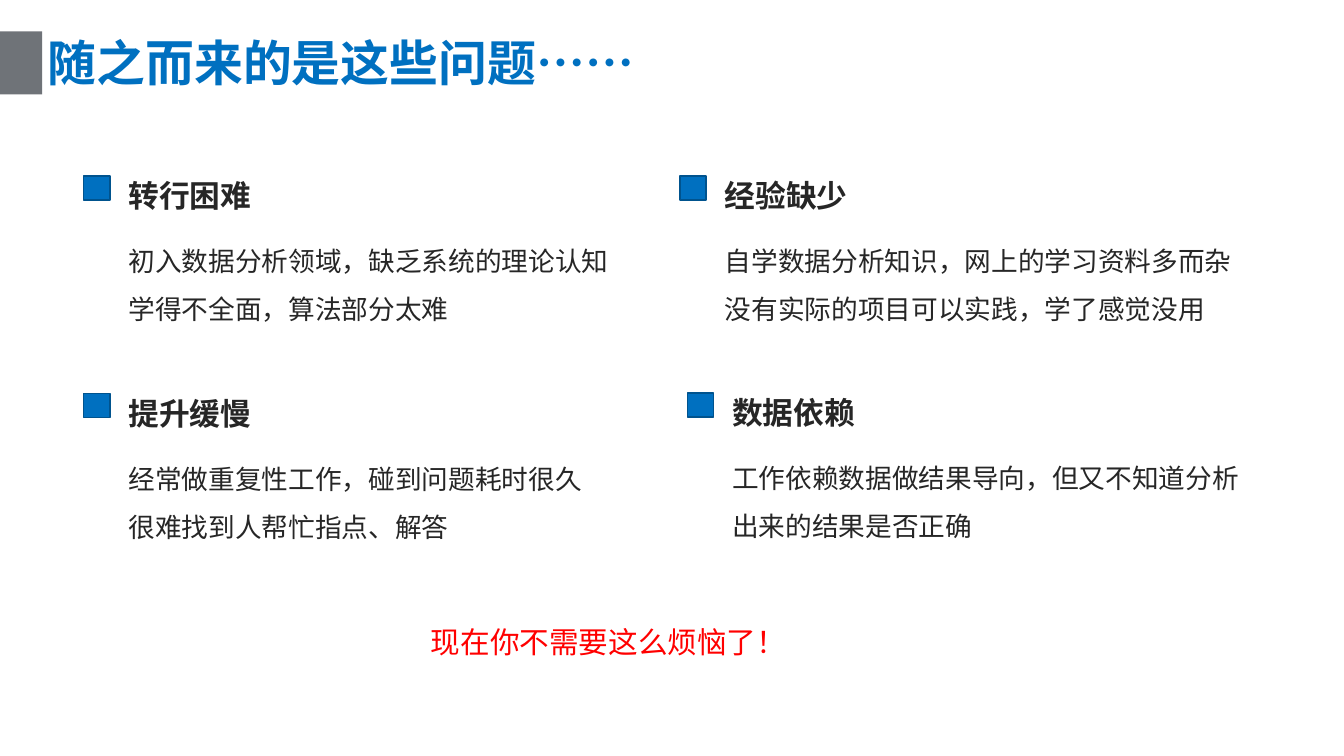
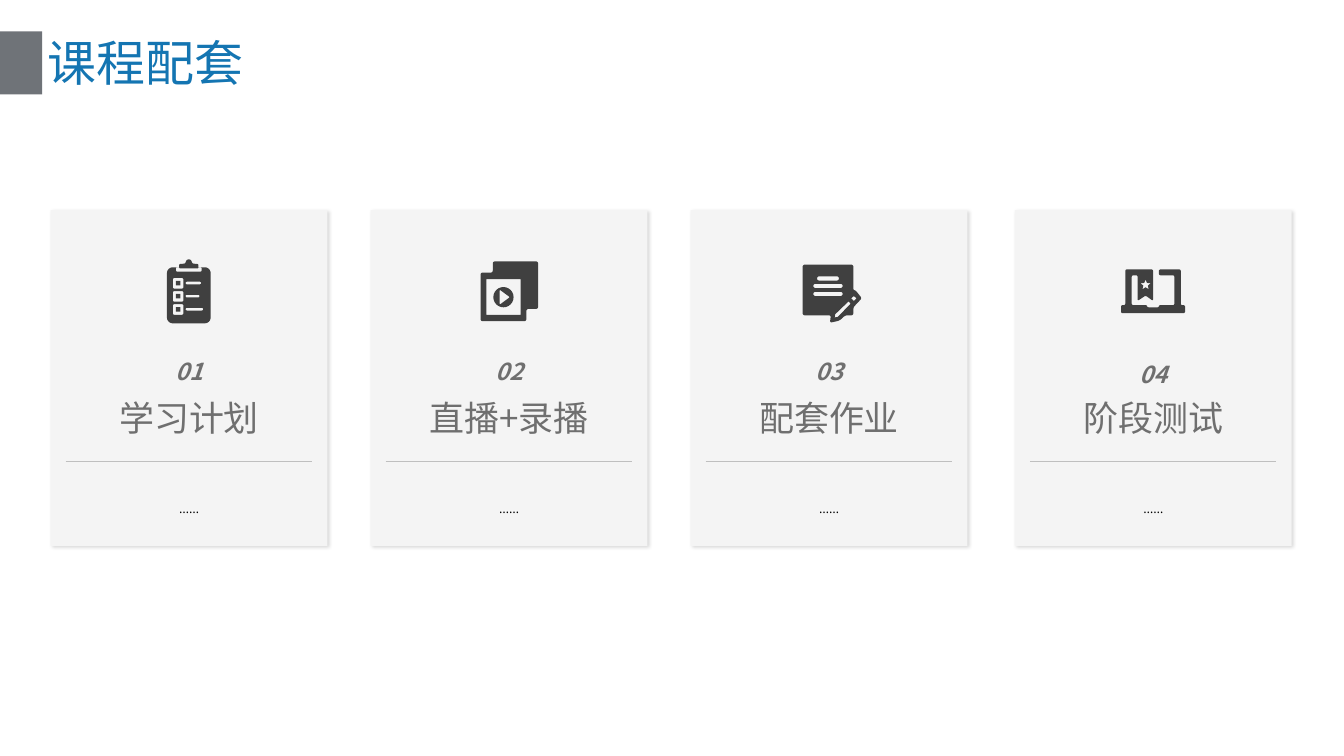
from collections import namedtuple
from math import cos, dist, pi, sin

from lxml import etree
from pptx import Presentation
from pptx.dml.color import RGBColor as RGB
from pptx.enum.shapes import MSO_CONNECTOR as CONN, MSO_SHAPE as SHAPE
from pptx.enum.text import MSO_ANCHOR as ANCHOR, MSO_AUTO_SIZE as FIT, PP_ALIGN as ALIGN
from pptx.oxml import parse_xml
from pptx.oxml.ns import nsdecls, qn
from pptx.util import Inches, Pt

Theme = namedtuple("Theme", "font latin blue edge title2 band ink red card grey rule icon black "
                            "title head body note number label small")
T = Theme(font="Noto Sans CJK SC", latin="Open Sans",
          blue="0070C0", edge="00538E", title2="1475B2", band="6F7378", ink="262626",
          red="FF0000", card="F4F4F4", grey="6F6F6F", rule="BFBFBF", icon="404040", black="000000",
          title=66, head=41.5, body=36, note=40, number=31.5, label=47.2, small=17.3)
W, H = 25.2, 14.17


def write(tf, text, size, color, font=T.font, bold=False, italic=False, align=ALIGN.LEFT,
          spacing=1.0, anchor=ANCHOR.TOP, wrap=True, inset=(0.1, 0.05)):
    """Fill a text frame, one paragraph per line of text."""
    tf.word_wrap, tf.auto_size, tf.vertical_anchor = wrap, FIT.NONE, anchor
    tf.margin_left = tf.margin_right = Inches(inset[0])
    tf.margin_top = tf.margin_bottom = Inches(inset[1])
    for i, line in enumerate(text.split("\n")):
        p = tf.paragraphs[0] if i == 0 else tf.add_paragraph()
        p.alignment, p.line_spacing = align, spacing
        r = p.add_run()
        r.text = line
        f = r.font
        f.size, f.bold, f.italic, f.name = Pt(size), bold, italic, font
        f.color.rgb = RGB.from_string(color)
        etree.SubElement(f._element, qn("a:ea")).set("typeface", font)


def outline(radius, *pts):
    """Round the corners of a polygon; two points stand for a box."""
    if len(pts) == 2:
        (x0, y0), (x1, y1) = pts
        pts = (x0, y0), (x1, y0), (x1, y1), (x0, y1)
    path = []
    for i, p in enumerate(pts):
        before, after = pts[i - 1], pts[(i + 1) % len(pts)]
        u, v = (min(radius / dist(p, q), 0.5) for q in (before, after))
        for step in range(7 if radius else 1):
            a = step * pi / 12
            ku, kv = u * (1 - sin(a)), v * (1 - cos(a))
            path.append(tuple(c + ku * (b - c) + kv * (n - c)
                              for c, b, n in zip(p, before, after)))
    return path


prs = Presentation()
prs.slide_width, prs.slide_height = Inches(W), Inches(H)

# Shared layout: title position and grey band
layout = prs.slide_layouts[5]
for ph in list(layout.placeholders):
    if ph.placeholder_format.idx:
        ph.element.getparent().remove(ph.element)
    else:
        ph.left, ph.top, ph.width, ph.height = map(Inches, (0.79, 0.57, 23.62, 1.2))

slides = []
for title, color, bold in (("随之而来的是这些问题……", T.blue, True),
                           ("课程配套", T.title2, False)):
    s = prs.slides.add_slide(layout)
    write(s.shapes.title.text_frame, title, T.title, color, bold=bold, anchor=ANCHOR.MIDDLE)
    slides.append(s)

band = slides[0].shapes.add_shape(SHAPE.RECTANGLE, 0, Inches(0.59), Inches(0.79), Inches(1.18))
band.fill.solid()
band.fill.fore_color.rgb = RGB.from_string(T.band)
band.line.fill.background()
band.shadow.inherit = False
layout.shapes.element.insert(2, band.element)

# Slide 1: four problems on a two by two grid
s = slides[0]
problems = (
    (1.57, 2.92, "转行困难", "初入数据分析领域，缺乏系统的理论认知\n学得不全面，算法部分太难"),
    (12.75, 2.92, "经验缺少", "自学数据分析知识，网上的学习资料多而杂\n没有实际的项目可以实践，学了感觉没用"),
    (1.57, 7, "提升缓慢", "经常做重复性工作，碰到问题耗时很久\n很难找到人帮忙指点、解答"),
    (12.89, 6.99, "数据依赖", "工作依赖数据做结果导向，但又不知道分析\n出来的结果是否正确"),
)
for x, y, head, body in problems:
    sp = s.shapes.add_shape(SHAPE.RECTANGLE, *map(Inches, (x, y + 0.38, 0.49, 0.45)))
    sp.fill.solid()
    sp.fill.fore_color.rgb = RGB.from_string(T.blue)
    sp.line.color.rgb = RGB.from_string(T.edge)
    sp.line.width = Pt(2)
    sp.shadow.inherit = False
    for dy, height, text, size, bold in ((0, 1.15, head, T.head, True),
                                         (1.32, 1.92, body, T.body, False)):
        box = s.shapes.add_textbox(*map(Inches, (x + 0.74, y + dy, 10.4, height)))
        write(box.text_frame, text, size, T.ink, bold=bold, spacing=1.5)

box = s.shapes.add_textbox(*map(Inches, (7.98, 11.52, 6.87, 0.91)))
write(box.text_frame, "现在你不需要这么烦恼了！", T.note, T.red, spacing=1.2, wrap=False)

# Icon outlines, in hundredths of an inch from the corner of a card
plan = [outline(11, (218, 107), (300, 212)),
        outline(2, (235, 107), (283, 115)),
        outline(2, (241, 109), (241, 101), (252, 100), (255, 93), (259, 92), (263, 93),
                (266, 100), (277, 101), (277, 109))]
for row, end in enumerate((282, 279, 286)):
    y = 127 + 24.5 * row
    plan += [outline(3, (229, y), (249, y + 20)),
             outline(0, (235, y + 5.5), (243, y + 14)),
             outline(2.5, (253, y + 7), (end, y + 12))]

video = [outline(4, (229, 96), (314, 96), (314, 185), (292, 185), (292, 208), (206, 208),
                 (206, 117), (229, 117)),
         outline(0, (217, 129), (281, 196)),
         outline(19, (230, 144), (268, 182)),
         outline(2, (242, 149), (261, 163), (242, 177))]

homework = [outline(4, (210, 102), (305, 102), (305, 150), (309, 150), (321, 165), (305, 182),
                    (305, 197), (290, 197), (279, 207), (261, 211), (263, 197), (210, 197)),
            outline(0, (276, 200), (270, 201), (271, 195), (296, 171), (300, 175)),
            outline(0, (306, 170), (301, 165), (306, 161), (311, 165))]
homework += [outline(4, (left, y), (right, y + 8))
             for left, right, y in ((237, 278, 124), (230, 285, 138), (230, 285, 153))]

star = [(245 + r * sin(i * pi / 5), 140 - r * cos(i * pi / 5))
        for i, r in enumerate((10, 4.5) * 5)]
test = [outline(3, (230, 170), (245, 160), (259, 170), (259, 111), (207, 111), (207, 178),
                (199, 178), (199, 193), (319, 193), (319, 178), (311, 178), (311, 111),
                (270, 111), (270, 122), (299, 122), (299, 178), (270, 178), (270, 182),
                (248, 182), (248, 178), (219, 178), (219, 122), (230, 122)),
        outline(0, *star)]

# Slide 2: four cards
s = slides[1]
top, card_w, card_h = 3.94, 5.19, 6.29
cards = ((0.95, 6.35, "学习计划", plan), (6.95, 6.35, "直播+录播", video),
         (12.95, 6.35, "配套作业", homework), (19.03, 6.41, "阶段测试", test))
for n, (x, number_y, label, icon) in enumerate(cards, 1):
    g = s.shapes.add_group_shape().shapes

    # Panel with a soft shadow
    sp = g.add_shape(SHAPE.RECTANGLE, *map(Inches, (x, top, card_w, card_h)))
    sp.fill.solid()
    sp.fill.fore_color.rgb = RGB.from_string(T.card)
    sp.line.fill.background()
    sp.shadow.inherit = False
    sp.element.spPr.find(qn("a:effectLst")).append(parse_xml(
        f'<a:outerShdw {nsdecls("a")} blurRad="{Pt(5)}" dist="{Pt(2)}" dir="2700000">'
        f'<a:srgbClr val="{T.black}"><a:alpha val="15000"/></a:srgbClr></a:outerShdw>'))

    # Icon
    paths = [[(round(px * 100), round(py * 100)) for px, py in path] for path in icon]
    fb = g.build_freeform(*paths[0][0], scale=Inches(1) / 10000)
    for i, path in enumerate(paths):
        if i:
            fb.move_to(*path[0])
        fb.add_line_segments(path[1:], close=True)
    sp = fb.convert_to_shape(Inches(x), Inches(top))
    sp.fill.solid()
    sp.fill.fore_color.rgb = RGB.from_string(T.icon)
    sp.line.fill.background()
    sp.shadow.inherit = False

    # Rule
    ln = g.add_connector(CONN.STRAIGHT, *map(Inches, (x + 0.28, 8.64, x + 4.9, 8.64)))
    ln.line.color.rgb = RGB.from_string(T.rule)
    ln.line.width = Pt(0.25)
    etree.SubElement(ln.element.spPr, qn("a:effectLst"))

    # Number, label and details
    for y, height, text, size, color, font, strong in (
            (number_y, 1.2, f"{n:02}", T.number, T.grey, T.font, True),
            (7.31, 1.04, label, T.label, T.grey, T.font, False),
            (9.03, 0.98, "……", T.small, T.black, T.latin, False)):
        box = g.add_textbox(*map(Inches, (x + 0.17, y, 4.85, height)))
        write(box.text_frame, text, size, color, font=font, bold=strong, italic=strong,
              align=ALIGN.CENTER, anchor=ANCHOR.MIDDLE, inset=(0.16, 0.08))

prs.save("out.pptx")
